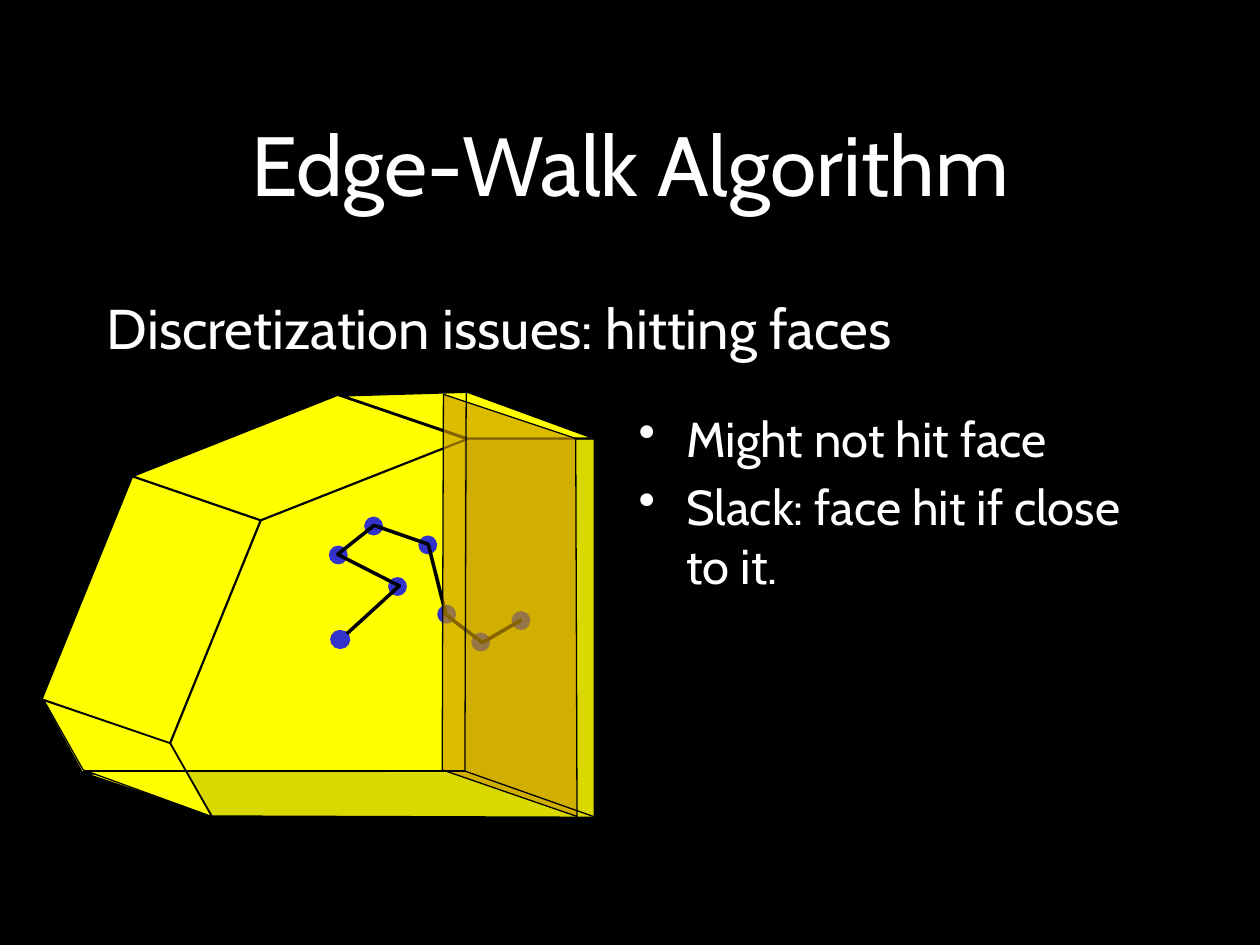
from lxml import etree
from pptx import Presentation
from pptx.dml.color import RGBColor
from pptx.enum.shapes import MSO_CONNECTOR, MSO_SHAPE
from pptx.enum.text import MSO_ANCHOR, PP_ALIGN
from pptx.oxml.ns import qn
from pptx.util import Inches, Pt

LINE, OVAL = MSO_CONNECTOR.STRAIGHT, MSO_SHAPE.OVAL
TOP, MIDDLE = MSO_ANCHOR.TOP, MSO_ANCHOR.MIDDLE
LEFT, CENTER = PP_ALIGN.LEFT, PP_ALIGN.CENTER
BLACK, WHITE, YELLOW = "000000", "FFFFFF", "FFFF00"
BLUE, AMBER = "3333CC", "CC9900"
DOT = 0.15

# Outlines, relative to the top left corner of the polytope
BACK_FACE = [(2.36, 0.03), (3.36, 0.03), (3.36, 3.04), (0.32, 3.03),
             (0, 2.45), (0.72, 0.68)]
FRONT_FACE = [(3.39, 0.38), (4.39, 0.38), (4.39, 3.39), (1.35, 3.38),
              (1.02, 2.8), (1.74, 1.03)]
BOTTOM_FACE = [(0.34, 3.04), (1.14, 3.03), (1.35, 3.38)]
TOP_FACE = [(2.38, 0.04), (3.38, 0.01), (4.39, 0.38), (3.38, 0.38)]
CORNER_FACE = [(0.02, 2.46), (1.02, 2.8), (1.35, 3.38), (0.33, 3.01)]
SLACK_FACE = [(3.19, 0.03), (4.24, 0.38), (4.25, 3.38), (3.18, 3.01)]
# Edges that join the back face to the front face
SIDE_EDGES = [((x, y), (x + 1.02, y + 0.35)) for x, y in
              [(3.36, 0.03), (2.34, 0.03), (0.72, 0.68),
               (0, 2.45), (0.36, 3.04), (3.36, 3.03)]]
HIDDEN_EDGES = [((3.37, 0), (3.36, 3.01)), ((0.34, 3.02), (3.37, 3.02)),
                ((3.36, 3.02), (4.38, 3.38))]
WALK = [(2.38, 1.97), (2.84, 1.55), (2.35, 1.3), (2.64, 1.07),
        (3.07, 1.22), (3.21, 1.78), (3.5, 2), (3.81, 1.82)]
WALK_DOTS = [(2.3, 1.9), (2.75, 1.48), (2.28, 1.23), (2.56, 1),
             (2.99, 1.15), (3.14, 1.7), (3.41, 1.92), (3.73, 1.75)]


def color(value):
    return RGBColor.from_string(value)


def add_text(s, box, lines, size, align=LEFT, anchor=TOP, before=0, bullet=False):
    tf = s.shapes.add_textbox(*map(Inches, box)).text_frame
    tf.word_wrap = True
    tf.vertical_anchor = anchor
    for i, line in enumerate(lines):
        p = tf.paragraphs[0] if i == 0 else tf.add_paragraph()
        p.alignment = align
        p.space_before = Pt(before)
        r = p.add_run()
        r.text = line
        for key, value in {"name": "Cabin", "size": Pt(size)}.items():
            setattr(r.font, key, value)
        r.font.color.rgb = color(WHITE)
        if bullet:
            pPr = p._p.get_or_add_pPr()
            pPr.set("marL", str(Inches(0.38)))
            pPr.set("indent", str(Inches(-0.38)))
            etree.SubElement(pPr, qn("a:buChar")).set("char", "•")


def add_outline(s, origin, points, width, fill=None, alpha=100):
    left, top = origin
    pts = [(Inches(left + x), Inches(top + y)) for x, y in points]
    builder = s.shapes.build_freeform(*pts[0], scale=1.0)
    builder.add_line_segments(pts[1:], close=fill is not None)
    shape = builder.convert_to_shape()
    shape.shadow.inherit = False
    shape.line.color.rgb = color(BLACK)
    shape.line.width = Pt(width)
    if fill is None:
        shape.fill.background()
        return
    shape.fill.solid()
    shape.fill.fore_color.rgb = color(fill)
    if alpha < 100:
        clr = shape._element.spPr.find(qn("a:solidFill"))[0]
        etree.SubElement(clr, qn("a:alpha")).set("val", str(alpha * 1000))


def add_edges(s, origin, edges, width):
    left, top = origin
    for (x1, y1), (x2, y2) in edges:
        edge = s.shapes.add_connector(LINE, Inches(left + x1), Inches(top + y1),
                                      Inches(left + x2), Inches(top + y2))
        edge.line.color.rgb = color(BLACK)
        edge.line.width = Pt(width)
        etree.SubElement(edge._element.spPr, qn("a:effectLst"))


def add_dots(s, origin, corners):
    left, top = origin
    for x, y in corners:
        dot = s.shapes.add_shape(OVAL, Inches(left + x), Inches(top + y),
                                 Inches(DOT), Inches(DOT))
        dot.shadow.inherit = False
        dot.fill.solid()
        dot.fill.fore_color.rgb = color(BLUE)
        dot.line.fill.background()


def add_polytope(s, origin):
    # Solid body
    add_outline(s, origin, BACK_FACE, 1.25, YELLOW)
    add_edges(s, origin, SIDE_EDGES, 1.25)
    add_outline(s, origin, FRONT_FACE, 1.25, YELLOW, 85)
    add_outline(s, origin, BOTTOM_FACE, 1.25, YELLOW)
    add_outline(s, origin, TOP_FACE, 1.25, YELLOW)
    add_outline(s, origin, CORNER_FACE, 0.75, YELLOW)


def add_walk(s, origin):
    add_dots(s, origin, WALK_DOTS)
    add_outline(s, origin, WALK, 2)


def add_slack(s, origin):
    # Translucent face, start point and hidden edges
    add_outline(s, origin, SLACK_FACE, 0.75, AMBER, 65)
    add_dots(s, origin, [(2.29, 1.9)])
    add_edges(s, origin, HIDDEN_EDGES, 0.75)


def main():
    prs = Presentation()
    prs.slide_width, prs.slide_height = Inches(10), Inches(7.5)
    s = prs.slides.add_slide(prs.slide_layouts[6])
    s.background.fill.solid()
    s.background.fill.fore_color.rgb = color(BLACK)

    # Heading
    add_text(s, (0.75, 0.67, 8.5, 1.25), ["Edge-Walk Algorithm"], 48, CENTER, MIDDLE)
    add_text(s, (0.75, 2.28, 8.5, 1.09), ["Discretization issues: hitting faces"],
             32, before=6.4)

    # Drawing and remarks
    origin = (0.33, 3.1)
    add_polytope(s, origin)
    add_walk(s, origin)
    add_text(s, (4.97, 3.19, 4.26, 1.99),
             ["Might not hit face", "Slack: face hit if close to it."],
             28, before=5.6, bullet=True)
    add_slack(s, origin)
    prs.save("out.pptx")


if __name__ == "__main__":
    main()
